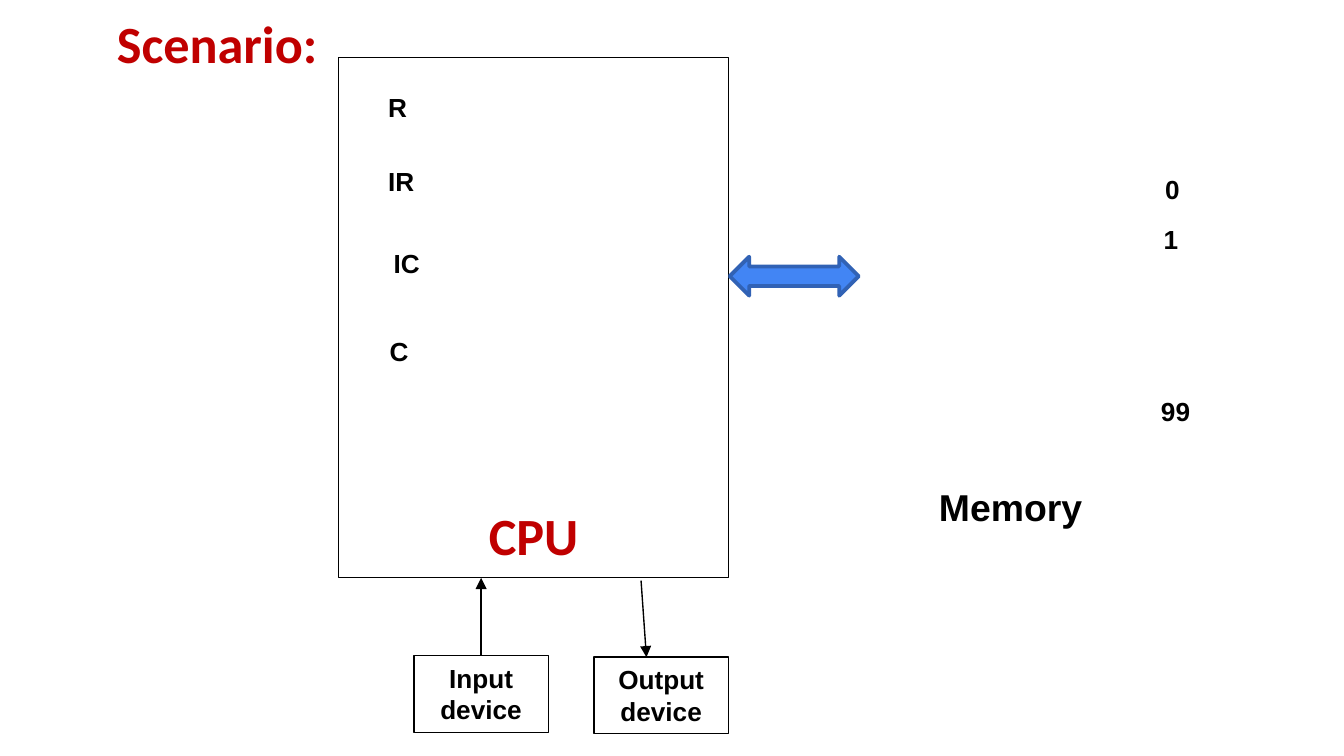
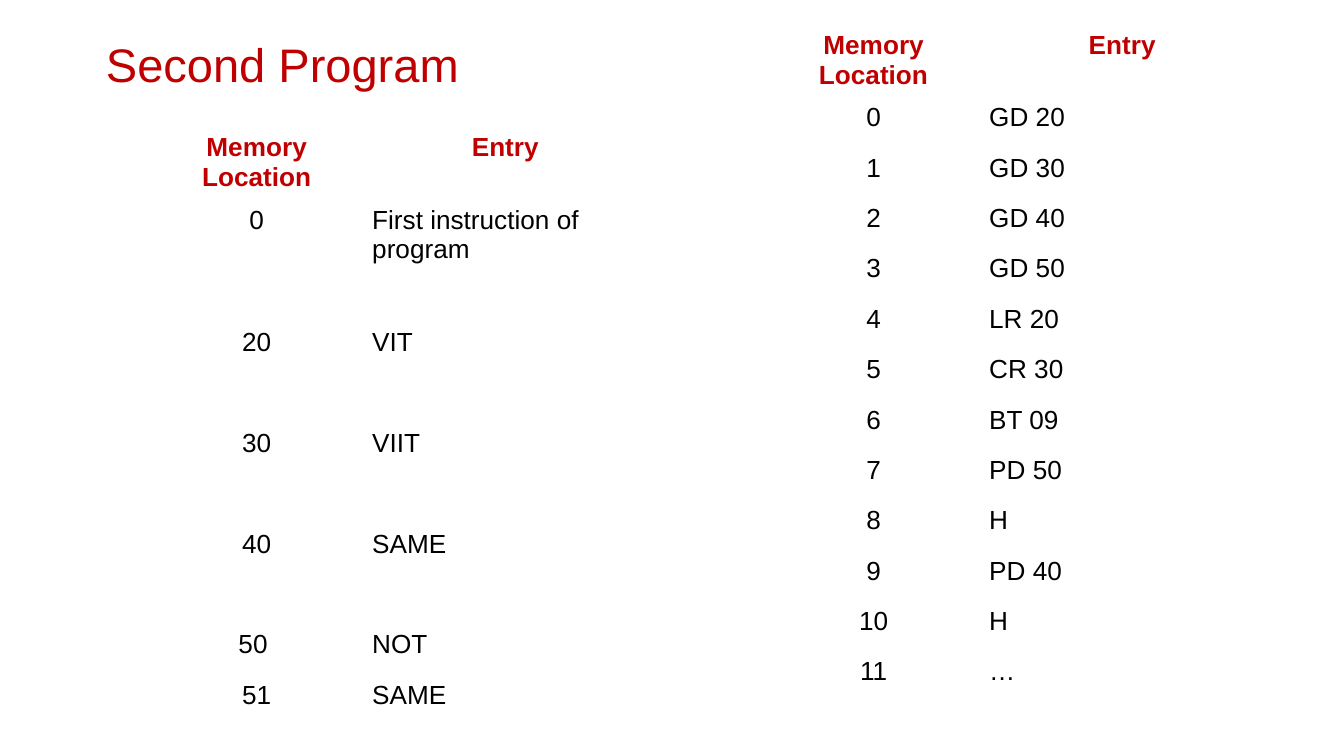
from dataclasses import dataclass

from lxml.etree import SubElement
from pptx import Presentation
from pptx.dml.color import RGBColor
from pptx.enum.shapes import MSO_CONNECTOR as CONN, MSO_SHAPE as SHAPE
from pptx.enum.text import MSO_ANCHOR as ANCHOR, PP_ALIGN as ALIGN
from pptx.oxml.ns import qn
from pptx.util import Inches, Pt


@dataclass(frozen=True)
class Theme:
    red: str = "C00000"
    black: str = "000000"
    white: str = "FFFFFF"
    blue: str = "4285F4"
    blue_line: str = "3162B5"
    sans: str = "Arial"
    display: str = "Calibri"
    small: float = 14
    medium: float = 20
    program_title: float = 25.2
    large: float = 28
    thin: float = 0.75
    thick: float = 2


T = Theme()
NO_GRID_STYLE = "{2D5ABB26-0587-4C30-8999-92F81FD0307C}"

# Slide 1: labels (text, left, top, width) and empty grids (left, top, width, height, rows, columns)
REGISTERS = [("R", 2.79, 0.63, 0.39), ("IR", 2.79, 1.18, 0.55),
             ("IC", 2.83, 1.79, 0.55), ("C", 2.8, 2.45, 0.55)]
ADDRESSES = [("0", 8.57, 1.24, 0.39), ("1", 8.56, 1.61, 0.39), ("99", 8.54, 2.89, 0.73)]
GRIDS = [(3.45, 0.59, 1.74, 0.4, 1, 4), (3.44, 1.14, 1.74, 0.4, 1, 4),
         (3.44, 1.78, 1, 0.41, 1, 2), (3.44, 2.39, 0.56, 0.41, 1, 1),
         (6.51, 1.26, 1.63, 2.03, 5, 4)]

# Slide 2: table rows, with empty rows standing for skipped locations
HEADER = ("Memory Location", "Entry")
GAP = ("", "")
DATA = [HEADER, ("0", "First instruction of program"), GAP, ("20", "VIT"), GAP,
        ("30", "VIIT"), GAP, ("40", "SAME"), GAP, ("50 ", "NOT"), ("51", "SAME")]
CODE = ["GD 20", "GD 30", "GD 40", "GD 50", "LR 20", "CR 30",
        "BT 09", "PD 50", "H", "PD 40", "H", "…"]
PROGRAM = [HEADER] + [(str(i), entry) for i, entry in enumerate(CODE)]
COLUMNS = (1.52, 2.18)
TALL_ROW, ROW = 0.53, 3 / 8


def rgb(value):
    return RGBColor.from_string(value)


def write(tf, text, size=T.small, font=T.sans, color=T.black, bold=True,
          align=ALIGN.LEFT, anchor=ANCHOR.TOP, before=None, spacing=None):
    """Fill a text frame, one paragraph per line of text."""
    tf.word_wrap = True
    tf.vertical_anchor = anchor
    for i, line in enumerate(text.split("\n")):
        p = tf.add_paragraph() if i else tf.paragraphs[0]
        p.alignment = align
        if before is not None:
            p.space_before = Pt(before)
        if spacing is not None:
            p.line_spacing = spacing
        r = p.add_run()
        r.text = line
        r.font.size, r.font.name, r.font.bold = Pt(size), font, bold
        r.font.color.rgb = rgb(color)


def add_text(slide, box, text, **fmt):
    sp = slide.shapes.add_textbox(*map(Inches, box))
    write(sp.text_frame, text, **fmt)
    return sp


def add_title(slide, box, text, **fmt):
    sp = add_text(slide, box, text, color=T.red, anchor=ANCHOR.MIDDLE, **fmt)
    sp.fill.solid()
    sp.fill.fore_color.rgb = rgb(T.white)
    return sp


def add_box(slide, box, text="", kind=SHAPE.RECTANGLE, fill=None,
            line=T.black, width=T.thin, **fmt):
    sp = slide.shapes.add_shape(kind, *map(Inches, box))
    sp.shadow.inherit = False
    if fill:
        sp.fill.solid()
        sp.fill.fore_color.rgb = rgb(fill)
    else:
        sp.fill.background()
    sp.line.color.rgb = rgb(line)
    sp.line.width = Pt(width)
    if text:
        write(sp.text_frame, text, align=ALIGN.CENTER, **fmt)
    return sp


def add_arrow(slide, start, end):
    cx = slide.shapes.add_connector(CONN.STRAIGHT, *map(Inches, start + end))
    cx.line.color.rgb = rgb(T.black)
    cx.line.width = Pt(T.thin)
    SubElement(cx._element.spPr.find(qn("a:ln")), qn("a:tailEnd"), type="triangle")
    SubElement(cx._element.spPr, qn("a:effectLst"))
    return cx


def add_grid(slide, left, top, widths, heights):
    """Add a table without style, banding or fill."""
    frame = slide.shapes.add_table(
        len(heights), len(widths),
        *map(Inches, (left, top, sum(widths), sum(heights))))
    table = frame.table
    table.first_row = table.horz_banding = False
    table._tbl.tblPr.find(qn("a:tableStyleId")).text = NO_GRID_STYLE
    for column, width in zip(table.columns, widths):
        column.width = Inches(width)
    for row, height in zip(table.rows, heights):
        row.height = Inches(height)
    for cell in table.iter_cells():
        cell.fill.background()
    return table


def add_memory_table(slide, left, top, rows, tall_rows):
    heights = [TALL_ROW if i < tall_rows else ROW for i in range(len(rows))]
    table = add_grid(slide, left, top, COLUMNS, heights)
    for i, row in enumerate(rows):
        head = row is HEADER
        for j, text in enumerate(row):
            cell = table.cell(i, j)
            cell.margin_bottom = Inches(0.02)
            if text:
                write(cell.text_frame, text, color=T.red if head else T.black, bold=head,
                      align=ALIGN.CENTER if head or j == 0 else ALIGN.LEFT)
            else:  # keep empty rows as low as the others
                SubElement(cell.text_frame.paragraphs[0]._p, qn("a:endParaRPr"),
                           sz=str(T.small * 100))


def build_scenario(slide):
    title = add_title(slide, (0.76, 0.06, 8.5, 0.51), "Scenario:",
                      size=T.large, font=T.display, before=1.3)
    title.text_frame.margin_left = Inches(0.11)
    add_text(slide, (6.56, 3.55, 1.92, 0.44), "Memory", size=T.medium, align=ALIGN.CENTER)

    # CPU, bus and devices
    cpu = add_box(slide, (2.52, 0.43, 2.9, 3.87), "CPU", size=T.large,
                  font=T.display, color=T.red, anchor=ANCHOR.BOTTOM)
    cpu.text_frame.margin_bottom = Inches(0.09)
    add_box(slide, (5.43, 1.91, 0.96, 0.29), kind=SHAPE.LEFT_RIGHT_ARROW,
            fill=T.blue, line=T.blue_line, width=T.thick)
    input_box = add_box(slide, (3.08, 4.88, 1, 0.57), "Input device")
    add_box(slide, (4.42, 4.89, 1, 0.57), "Output\ndevice")
    add_arrow(slide, (3.58, 4.88), (3.58, 4.3)).begin_connect(input_box, 0)
    add_arrow(slide, (4.77, 4.32), (4.81, 4.89))

    # Registers and memory cells
    for left, top, width, height, rows, cols in GRIDS:
        add_grid(slide, left, top, [width / cols] * cols, [height / rows] * rows)
    for text, left, top, width in REGISTERS + ADDRESSES:
        add_text(slide, (left, top, width, 0.34), text)


def build_program(slide):
    add_title(slide, (0.69, 0.3, 8.62, 0.4), "Second Program",
              size=T.program_title, bold=False, spacing=0.9)
    add_memory_table(slide, 1.15, 0.94, DATA, tall_rows=2)
    add_memory_table(slide, 5.74, 0.18, PROGRAM, tall_rows=1)


def main():
    prs = Presentation()
    prs.slide_width = Inches(10)
    prs.slide_height = prs.slide_width * 9 // 16
    for build in (build_scenario, build_program):
        build(prs.slides.add_slide(prs.slide_layouts[6]))
    prs.save("out.pptx")


if __name__ == "__main__":
    main()
